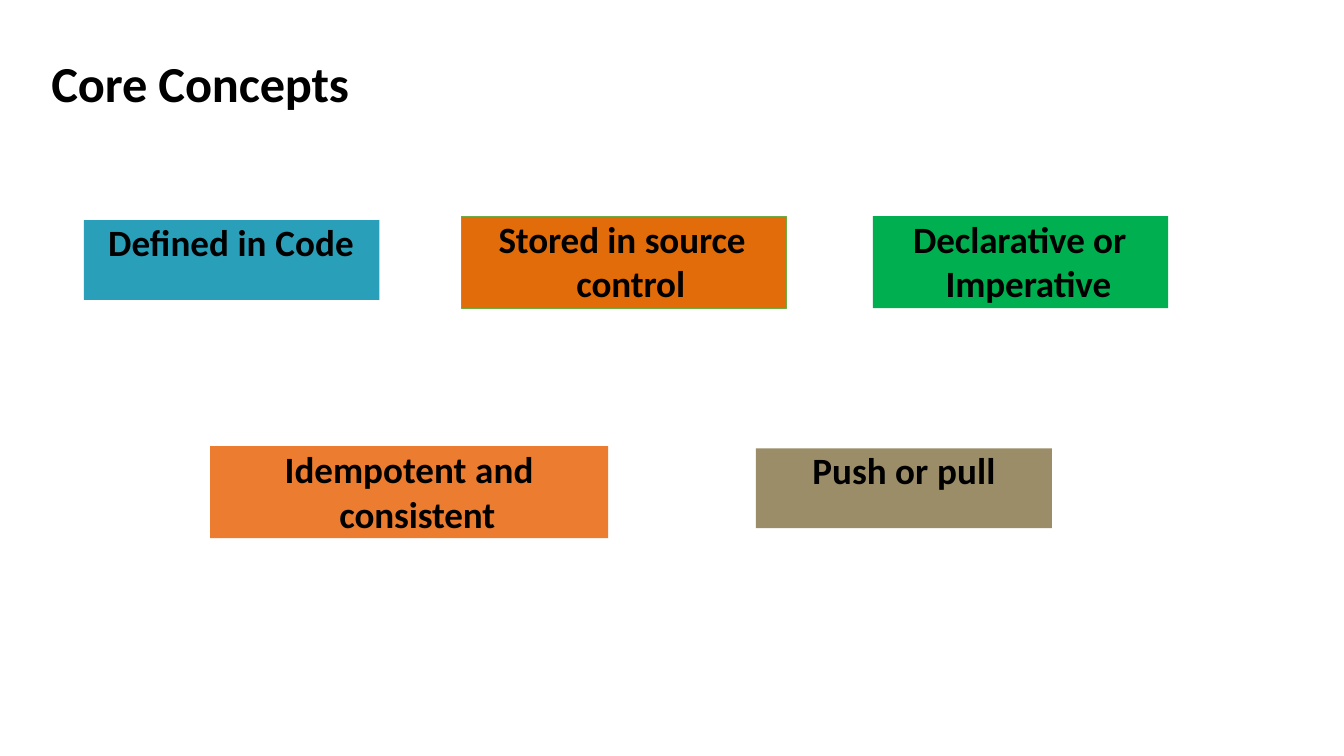
from dataclasses import dataclass

from pptx import Presentation
from pptx.dml.color import RGBColor
from pptx.enum.shapes import MSO_SHAPE
from pptx.enum.text import MSO_ANCHOR, MSO_AUTO_SIZE, PP_ALIGN
from pptx.shapes.autoshape import Shape
from pptx.slide import Slide
from pptx.util import Pt

RECT = MSO_SHAPE.RECTANGLE
TOP, MIDDLE = MSO_ANCHOR.TOP, MSO_ANCHOR.MIDDLE
GROW, FIXED = MSO_AUTO_SIZE.SHAPE_TO_FIT_TEXT, MSO_AUTO_SIZE.NONE
LEFT = PP_ALIGN.LEFT

BLACK = RGBColor(0x00, 0x00, 0x00)
TEAL = RGBColor(0x2A, 0x9F, 0xBA)
ORANGE = RGBColor(0xE2, 0x6C, 0x09)
GREEN = RGBColor(0x00, 0xAF, 0x50)
CORAL = RGBColor(0xEC, 0x7C, 0x30)
KHAKI = RGBColor(0x9B, 0x8D, 0x68)
EDGE = RGBColor(0x6F, 0xAC, 0x46)

FONT = {"name": "Calibri", "bold": True}
FRAME = {"margin_left": 0, "margin_top": 0, "margin_right": 0,
         "margin_bottom": 0, "word_wrap": True}
SHORT, TALL = 57, 65.8  # heights of boxes with one and two lines

Runs = tuple[tuple[str, int], ...]


@dataclass(frozen=True)
class Box:
    """A concept; lengths in points, run spacing in hundredths of a point."""
    left: float
    top: float
    width: float
    fill: RGBColor
    runs: Runs
    first: float
    rest: float = 0  # indent of the second line, 0 if there is none
    edge: RGBColor | None = None


BOXES = (
    Box(60, 157.2, 211, TEAL, (("Defined ", 0), ("in Code", 10)), 17.3),
    Box(329.5, 154.3, 232.3, ORANGE,
        (("Stored ", -10), ("in ", 0), ("source control", -10)),
        26.6, 82.3, EDGE),
    Box(623.5, 154.3, 211, GREEN,
        (("Declarative ", -10), ("or ", 10), ("Imperative", -10)), 28.8, 52),
    Box(150, 318.7, 284.4, CORAL,
        (("Idempotent ", 0), ("and ", 10), ("consistent", -10)), 53.3, 92.4),
    Box(540, 320.3, 211.4, KHAKI, (("Push ", 0), ("or pull", 10)), 40.3),
)


def write(shape: Shape, runs: Runs, size: float, first: float, rest: float,
          pitch: float | None, anchor: MSO_ANCHOR, fit: MSO_AUTO_SIZE) -> None:
    frame = shape.text_frame
    for key, value in (FRAME | {"vertical_anchor": anchor,
                                "auto_size": fit}).items():
        setattr(frame, key, value)
    para = frame.paragraphs[0]
    para.alignment = LEFT
    if pitch:
        para.line_spacing = Pt(pitch)
    props = para._p.get_or_add_pPr()
    props.set("marL", str(Pt(rest)))
    props.set("indent", str(Pt(first) - Pt(rest)))
    for text, gap in runs:
        run = para.add_run()
        run.text = text
        for key, value in (FONT | {"size": Pt(size)}).items():
            setattr(run.font, key, value)
        run.font.color.rgb = BLACK
        run._r.get_or_add_rPr().set("spc", str(gap))


def draw(slide: Slide, box: Box) -> None:
    high, pitch = (TALL, 31.9) if box.rest else (SHORT, 31)
    shape = slide.shapes.add_shape(
        RECT, Pt(box.left), Pt(box.top), Pt(box.width), Pt(high))
    shape.shadow.inherit = False
    shape.fill.solid()
    shape.fill.fore_color.rgb = box.fill
    if box.edge:
        shape.line.color.rgb = box.edge
        shape.line.width = Pt(0.72)
    else:
        shape.line.fill.background()
    write(shape, box.runs, 26.5, box.first, box.rest or box.first,
          pitch, TOP, FIXED)


def main() -> None:
    deck = Presentation()
    deck.slide_width, deck.slide_height = Pt(960), Pt(540)
    slide = deck.slides.add_slide(deck.slide_layouts[5])
    title = slide.shapes.title
    place = {"left": 36, "top": 36.7, "width": 267.8, "height": 44.6}
    for key, value in place.items():
        setattr(title, key, Pt(value))
    write(title, (("Core Concepts", -10),), 36, 0.7, 0.7, None, MIDDLE, GROW)
    for box in BOXES:
        draw(slide, box)
    deck.save("out.pptx")


if __name__ == "__main__":
    main()
